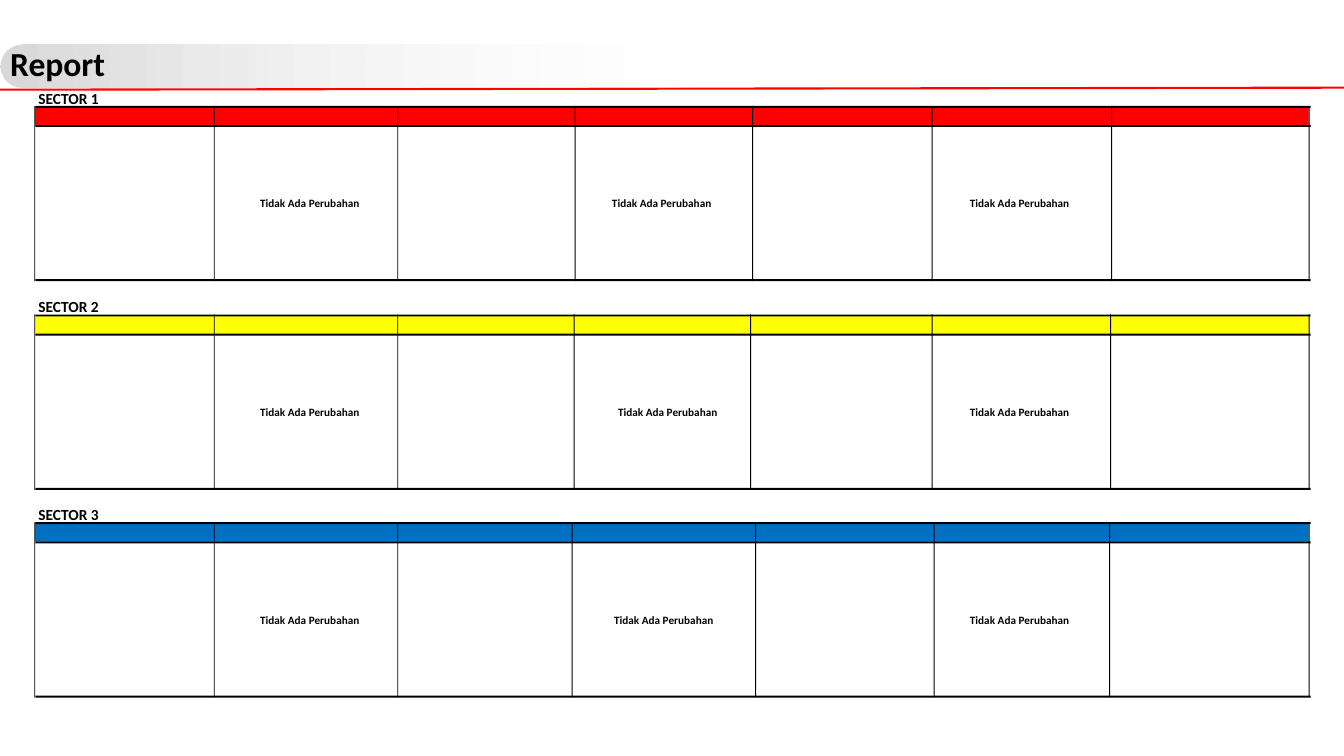
from lxml import etree
from pptx import Presentation
from pptx.dml.color import RGBColor
from pptx.enum.shapes import MSO_CONNECTOR as CONN, MSO_SHAPE as SHAPE
from pptx.enum.text import MSO_ANCHOR as ANCHOR, MSO_AUTO_SIZE as AUTO, PP_ALIGN as ALIGN
from pptx.oxml.ns import qn
from pptx.util import Inches, Pt

BLACK = "000000"
THIN, RULE = 0.01, 0.02
NOTE = "Tidak Ada Perubahan"
SECTORS = [
    ("SECTOR 1", "FF0000", 1.05, [0.34, 2.12, 3.94, 5.7, 7.46, 9.24, 11.02, 12.98], [2.58, 6.07, 9.62]),
    ("SECTOR 2", "FFFF00", 3.12, [0.34, 2.12, 3.94, 5.69, 7.44, 9.24, 11.01, 12.98], [2.58, 6.13, 9.62]),
    ("SECTOR 3", "0070C0", 5.18, [0.34, 2.12, 3.94, 5.67, 7.49, 9.26, 11, 12.98], [2.58, 6.09, 9.62]),
]


def rgb(value):
    return RGBColor.from_string(value)


def box(*lengths):
    return [Inches(v) for v in lengths]


def write(tf, text, size, **frame):
    for name, value in frame.items():
        setattr(tf, name, value)
    p = tf.paragraphs[0]
    p.alignment = ALIGN.LEFT
    r = p.add_run()
    r.text = text
    for name, value in {"name": "Calibri", "size": Pt(size), "bold": True}.items():
        setattr(r.font, name, value)
    r.font.color.rgb = rgb(BLACK)


def add_label(s, text, size, x, y, w, h):
    tf = s.shapes.add_textbox(*box(x, y, w, h)).text_frame
    write(tf, text, size, margin_left=0, margin_top=0, margin_right=0,
          margin_bottom=0, word_wrap=False, auto_size=AUTO.SHAPE_TO_FIT_TEXT)


def add_bar(s, color, x, y, w, h):
    sp = s.shapes.add_shape(SHAPE.RECTANGLE, *box(x, y, w, h))
    sp.shadow.inherit = False
    sp.fill.solid()
    sp.fill.fore_color.rgb = rgb(color)
    sp.line.fill.background()


def add_header(s, text, x, y, w, h):
    line = s.shapes.add_connector(CONN.STRAIGHT, *box(x, y + 0.51, x + w, y + 0.49))
    line.line.color.rgb = rgb("FF0000")
    line.line.width = Pt(1.5)
    etree.SubElement(line.element.spPr, qn("a:effectLst"))

    pill = s.shapes.add_shape(SHAPE.ROUNDED_RECTANGLE, *box(x + 0.01, y + 0.06, 6.89, 0.43))
    pill.adjustments[0] = 0.5
    pill.shadow.inherit = False
    pill.line.fill.background()
    pill.fill.gradient()
    pill.fill.gradient_angle = 180
    for stop, color in zip(pill.fill.gradient_stops, ["FFFFFF", "D9D9D9"]):
        stop.color.rgb = rgb(color)
    clear = next(pill.element.iter(qn("a:srgbClr")))
    etree.SubElement(clear, qn("a:alpha"), val="15000")

    title = s.shapes.title
    title.left, title.top, title.width, title.height = box(x, y, 11.5, h)
    write(title.text_frame, text, 24, vertical_anchor=ANCHOR.TOP,
          word_wrap=True, auto_size=AUTO.SHAPE_TO_FIT_TEXT)
    pill.element.addnext(title.element)


def add_sector(s, name, color, columns, notes, x, y, w, h):
    add_bar(s, color, x, y + 0.01, w - 0.02, 0.18)
    add_label(s, name, 11, x + 0.03, y - 0.17, 0.66, 0.24)
    for note_x in notes:
        add_label(s, NOTE, 8, note_x, y + 0.9, 1.1, 0.19)
    for column_x in columns:
        add_bar(s, BLACK, column_x, y, THIN, h)
    for offset in [0, 0.19, h - RULE]:
        add_bar(s, BLACK, x, y + offset, w, RULE)


def main():
    prs = Presentation()
    prs.slide_width, prs.slide_height = box(13.33, 7.5)
    s = prs.slides.add_slide(prs.slide_layouts[5])
    add_header(s, "Report", 0, 0.38, 13.33, 0.5)
    for name, color, top, columns, notes in SECTORS:
        add_sector(s, name, color, columns, notes, 0.35, top, 12.65, 1.74)
    prs.save("out.pptx")


if __name__ == "__main__":
    main()
